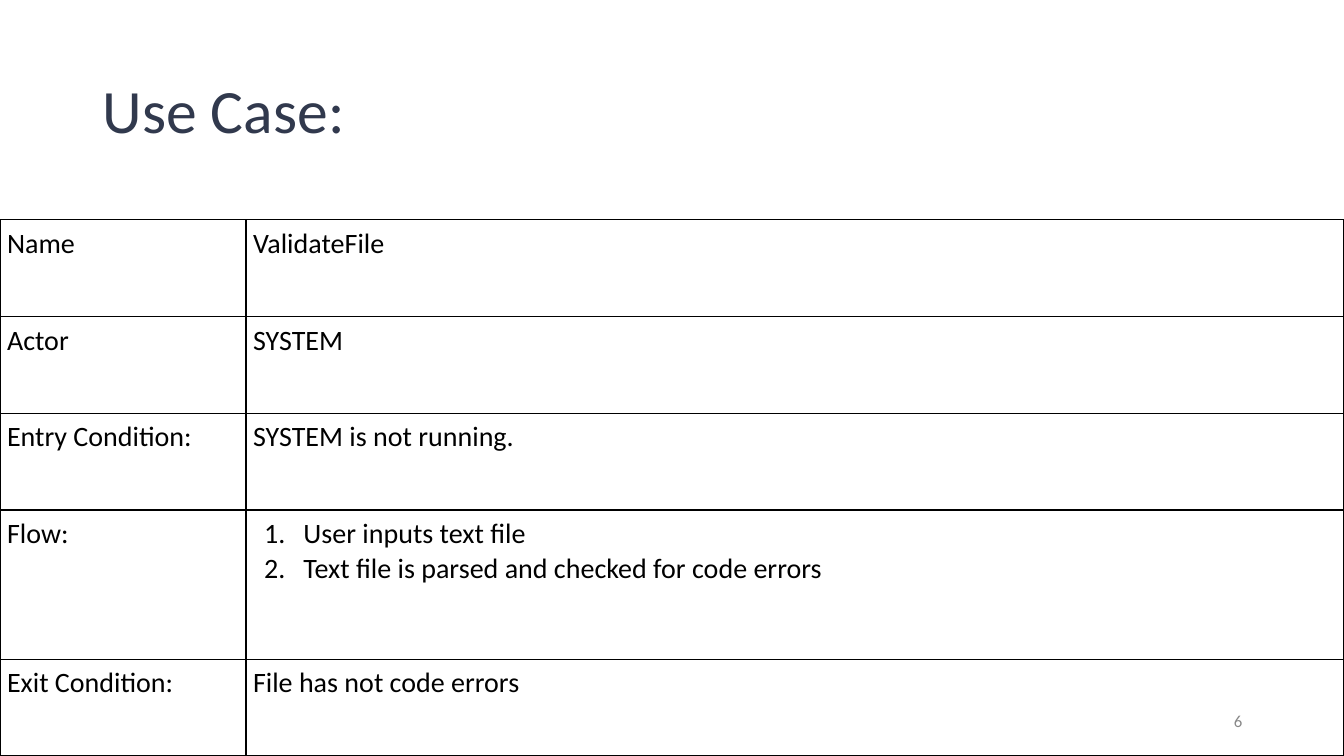
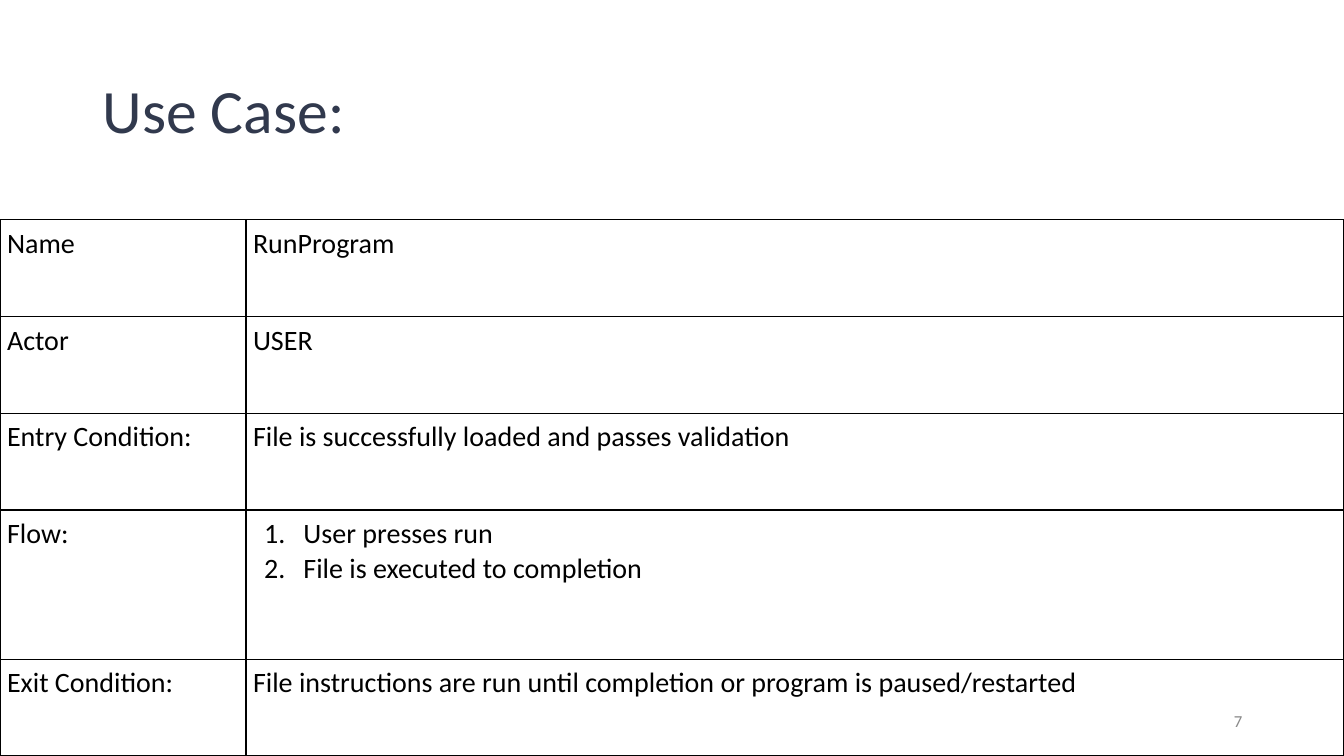
"""Build two use case slides, each with a title, a table and a page number."""
from lxml.etree import SubElement
from pptx import Presentation
from pptx.dml.color import RGBColor
from pptx.enum.text import MSO_ANCHOR, MSO_AUTO_SIZE, PP_ALIGN
from pptx.oxml.ns import qn
from pptx.util import Inches, Pt

SLIDE_WIDTH, SLIDE_HEIGHT = 13.33, 7.5
LABELS = ["Name", "Actor", "Entry Condition:", "Flow:", "Exit Condition:"]
USE_CASES = [
    [
        "ValidateFile",
        "SYSTEM",
        "SYSTEM is not running.",
        ["User inputs text file", "Text file is parsed and checked for code errors"],
        "File has not code errors",
    ],
    [
        "RunProgram",
        "USER",
        "File is successfully loaded and passes validation",
        ["User presses run", "File is executed to completion"],
        "File instructions are run until completion or program is paused/restarted",
    ],
]
FIRST_PAGE = 6


def color(value):
    """Turn a hex string into a colour."""
    return RGBColor.from_string(value)


def write(paragraph, text, size=20, fill="000000", align=PP_ALIGN.LEFT,
          font="Calibri", line_spacing=None):
    """Write formatted text into a paragraph."""
    run = paragraph.add_run()
    run.text = text
    run.font.size = Pt(size)
    run.font.name = font
    run.font.color.rgb = color(fill)
    paragraph.alignment = align
    if line_spacing:
        paragraph.line_spacing = line_spacing


def number(paragraph, fill):
    """Give a paragraph a hanging automatic number."""
    properties = paragraph._p.get_or_add_pPr()
    properties.set("marL", str(Inches(0.5)))
    properties.set("indent", str(Inches(-0.39)))
    bullet_color = SubElement(properties, qn("a:buClr"))
    SubElement(bullet_color, qn("a:srgbClr"), val=fill)
    SubElement(properties, qn("a:buFont"), typeface="Calibri")
    SubElement(properties, qn("a:buAutoNum"), type="arabicPeriod")


def outline(cell, fill, width):
    """Draw a line on all four sides of a table cell."""
    properties = cell._tc.get_or_add_tcPr()
    for side in ("lnL", "lnR", "lnT", "lnB"):
        line = SubElement(properties, qn(f"a:{side}"), w=str(Pt(width)))
        solid = SubElement(line, qn("a:solidFill"))
        SubElement(solid, qn("a:srgbClr"), val=fill)


class Deck:
    """Hold the shared style and the current slide."""

    INK, TITLE, MUTED, PAPER = "000000", "31394D", "888888", "FFFFFF"
    LABEL_WIDTH = 2.44
    ROW_HEIGHTS = [0.96, 0.96, 0.96, 1.48, 0.96]
    CELL_MARGIN = 0.07

    def __init__(self):
        """Start an empty widescreen presentation."""
        self.presentation = Presentation()
        self.presentation.slide_width = Inches(SLIDE_WIDTH)
        self.presentation.slide_height = Inches(SLIDE_HEIGHT)
        self.slide = None

    def add_slide(self):
        """Add a title-only slide and make it current."""
        layout = self.presentation.slide_layouts.get_by_name("Title Only")
        self.slide = self.presentation.slides.add_slide(layout)

    def add_title(self, text):
        """Place and fill the title placeholder."""
        shape = self.slide.shapes.title
        shape.left, shape.top = Inches(0.92), Inches(0.4)
        shape.width, shape.height = Inches(11.5), Inches(1.45)
        frame = shape.text_frame
        frame.auto_size = MSO_AUTO_SIZE.NONE
        frame.vertical_anchor = MSO_ANCHOR.MIDDLE
        write(frame.paragraphs[0], text, size=44, fill=self.TITLE, line_spacing=0.9)

    def add_page_number(self, page):
        """Add the page number at the lower right."""
        shape = self.slide.shapes.add_textbox(
            Inches(9.42), Inches(6.95), Inches(3), Inches(0.4))
        frame = shape.text_frame
        frame.word_wrap = True
        frame.vertical_anchor = MSO_ANCHOR.MIDDLE
        write(frame.paragraphs[0], str(page), size=12, fill=self.MUTED,
              align=PP_ALIGN.RIGHT)

    def add_table(self, rows):
        """Add a full-width two-column table that ends at the slide's foot."""
        height = sum(self.ROW_HEIGHTS)
        table = self.slide.shapes.add_table(
            len(rows), 2, Inches(0), Inches(SLIDE_HEIGHT - height),
            Inches(SLIDE_WIDTH), Inches(height)).table
        table.first_row = table.horz_banding = False
        table.columns[0].width = Inches(self.LABEL_WIDTH)
        table.columns[1].width = Inches(SLIDE_WIDTH - self.LABEL_WIDTH)
        for row, row_height, contents in zip(table.rows, self.ROW_HEIGHTS, rows):
            row.height = Inches(row_height)
            for cell, content in zip(row.cells, contents):
                self.fill_cell(cell, content)

    def fill_cell(self, cell, content):
        """Style a cell and write its text, or its list as numbered steps."""
        outline(cell, self.INK, 1)
        cell.fill.solid()
        cell.fill.fore_color.rgb = color(self.PAPER)
        cell.margin_left = cell.margin_right = Inches(self.CELL_MARGIN)
        cell.margin_top = cell.margin_bottom = Inches(self.CELL_MARGIN)
        numbered = isinstance(content, list)
        frame = cell.text_frame
        for index, text in enumerate(content if numbered else [content]):
            paragraph = frame.add_paragraph() if index else frame.paragraphs[0]
            write(paragraph, text, fill=self.INK, align=PP_ALIGN.JUSTIFY)
            if numbered:
                number(paragraph, self.INK)


def main():
    """Build and save the use case slides."""
    deck = Deck()
    for page, values in enumerate(USE_CASES, FIRST_PAGE):
        deck.add_slide()
        deck.add_title("Use Case:")
        deck.add_table(list(zip(LABELS, values)))
        deck.add_page_number(page)
    deck.presentation.save("out.pptx")


if __name__ == "__main__":
    main()
